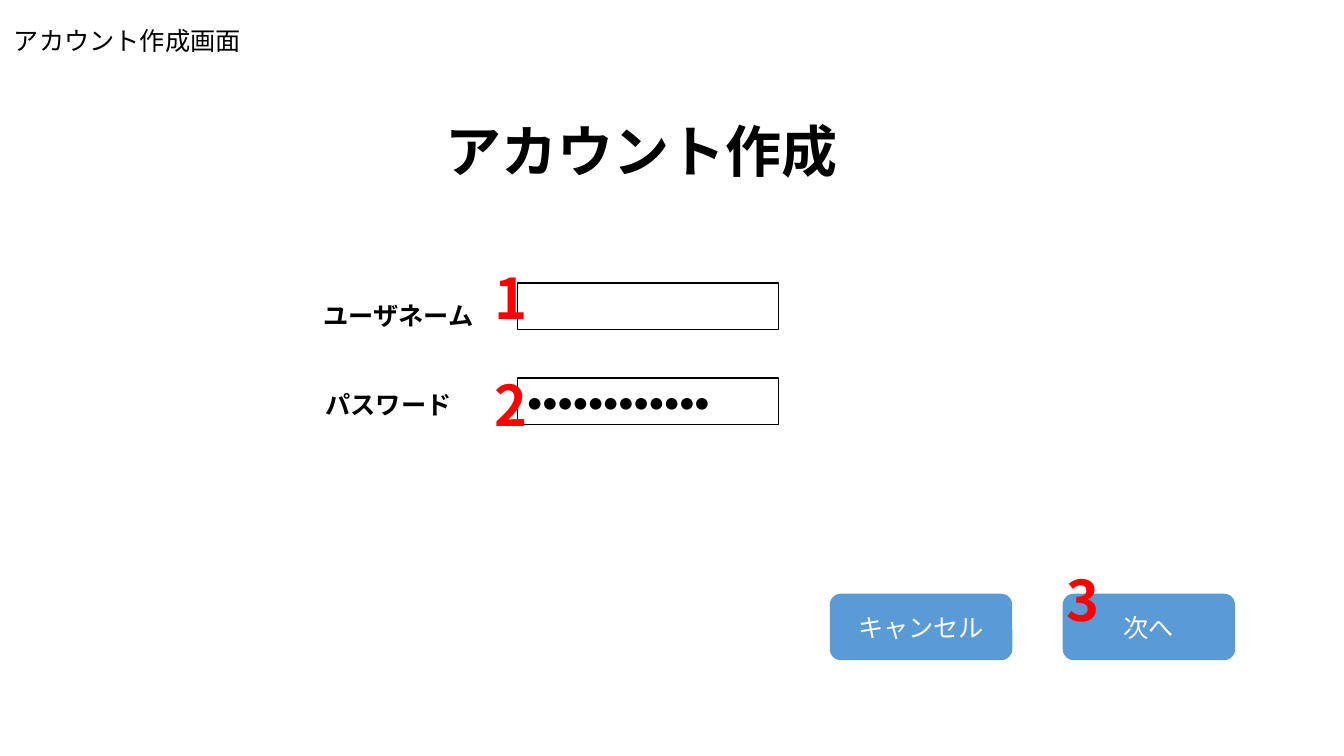
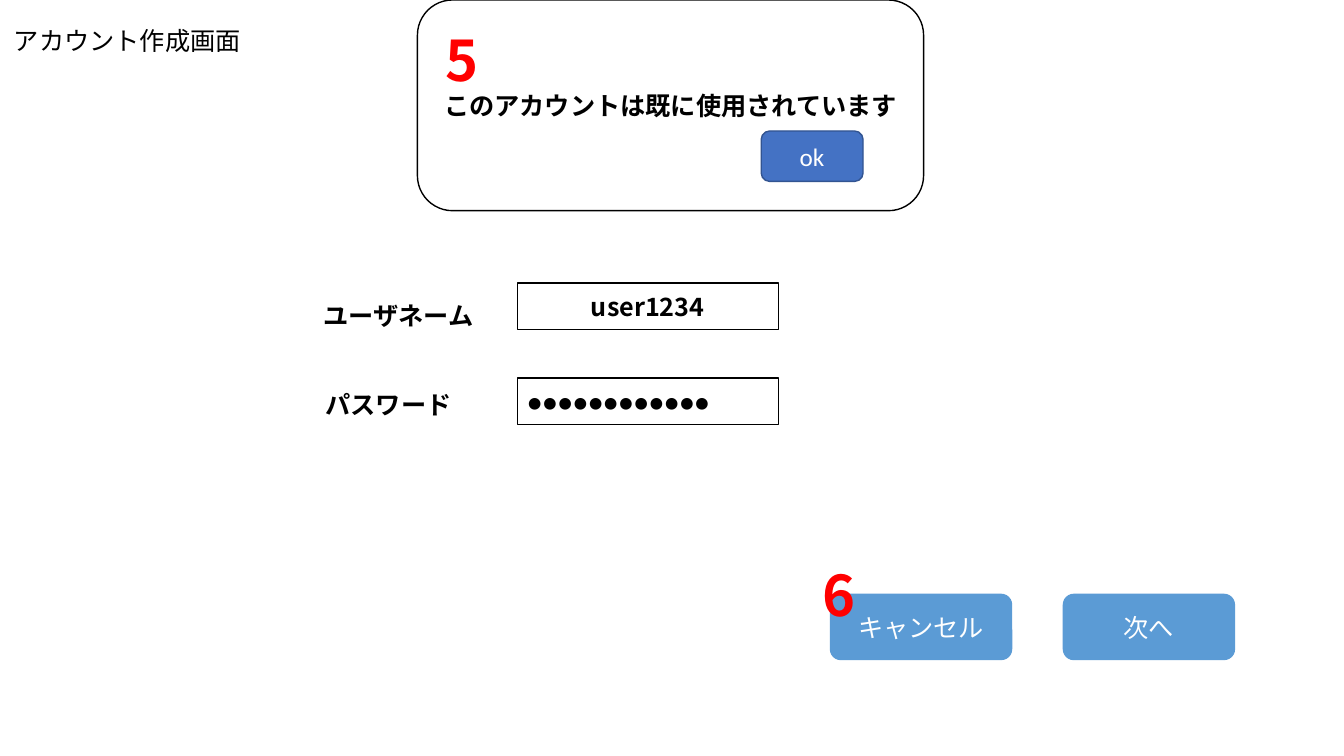
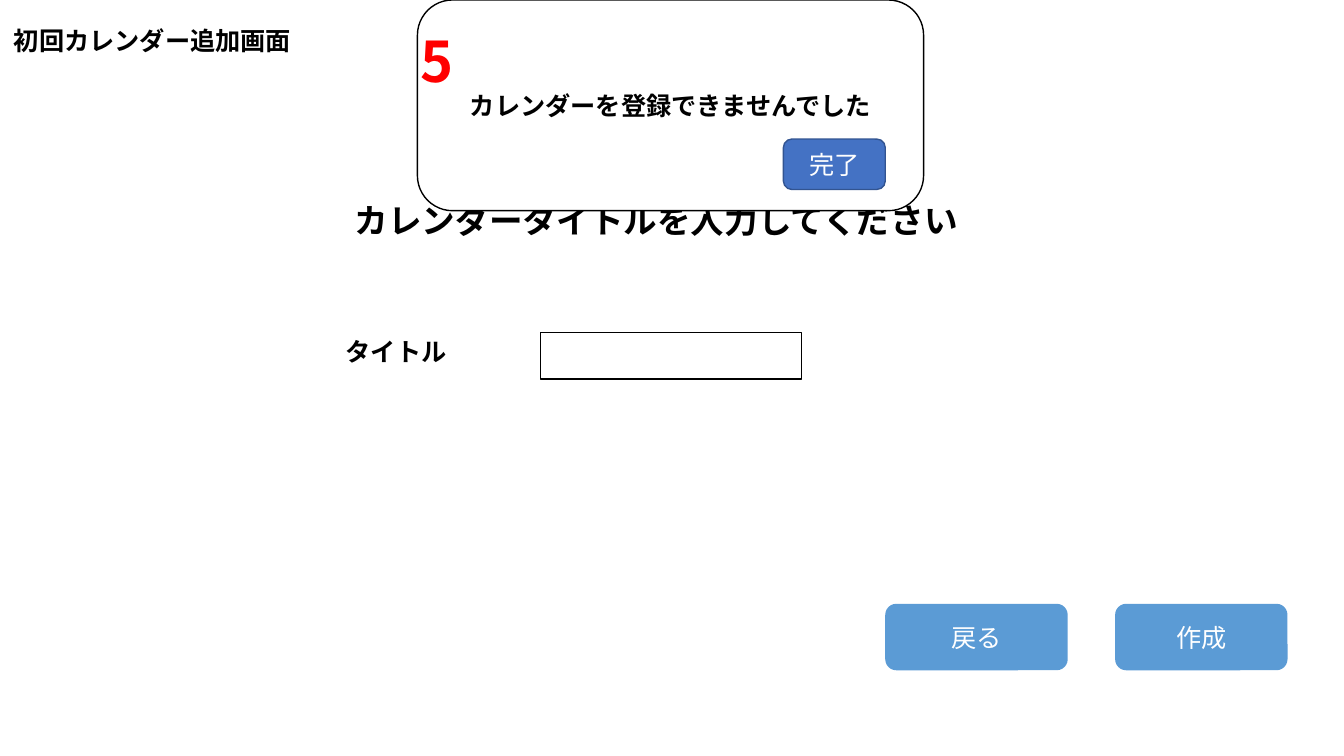
"""Build three wireframe slides for account creation and calendar registration."""
import dataclasses
import typing

import pptx
import pptx.dml.color
import pptx.enum.lang
import pptx.enum.shapes
import pptx.enum.text
import pptx.oxml.ns
import pptx.presentation
import pptx.slide
import pptx.util
from lxml import etree

EMU_PER_PX = 9144
SLIDE_SIZE = (1333, 750)

BLACK = pptx.dml.color.RGBColor(0x00, 0x00, 0x00)
WHITE = pptx.dml.color.RGBColor(0xFF, 0xFF, 0xFF)
RED = pptx.dml.color.RGBColor(0xFF, 0x00, 0x00)
BUTTON_BLUE = pptx.dml.color.RGBColor(0x5B, 0x9B, 0xD5)
CONFIRM_BLUE = pptx.dml.color.RGBColor(0x44, 0x72, 0xC4)
CONFIRM_EDGE = pptx.dml.color.RGBColor(0x32, 0x54, 0x91)

LATIN_FACE = "Calibri"
JAPANESE_FACE = "Noto Sans CJK JP"
LEFT = pptx.enum.text.PP_ALIGN.LEFT
CENTER = pptx.enum.text.PP_ALIGN.CENTER
RECTANGLE = pptx.enum.shapes.MSO_SHAPE.RECTANGLE
ROUNDED = pptx.enum.shapes.MSO_SHAPE.ROUNDED_RECTANGLE


@dataclasses.dataclass(frozen=True)
class TextStyle:
    """Typeface, size and colour of a piece of text."""

    face: str = JAPANESE_FACE
    size: int = 18
    bold: bool = True
    color: pptx.dml.color.RGBColor = BLACK
    east_asian_face: str = JAPANESE_FACE


@dataclasses.dataclass(frozen=True)
class Panel:
    """Outline and colours of a screen control."""

    outline: pptx.enum.shapes.MSO_SHAPE
    fill: pptx.dml.color.RGBColor
    edge: typing.Optional[pptx.dml.color.RGBColor]
    text: TextStyle


class Box(typing.NamedTuple):
    """Position and size in px."""

    left: int
    top: int
    width: int
    height: int


STRONG = TextStyle()
PLAIN = TextStyle(face=LATIN_FACE, bold=False)
MASKED = TextStyle(face=LATIN_FACE, bold=False, east_asian_face=LATIN_FACE)
ON_BUTTON = TextStyle(face=LATIN_FACE, bold=False, color=WHITE)
TITLE = TextStyle(size=40)
PROMPT = TextStyle(size=24)
MARKER = TextStyle(size=40, color=RED)

FIELD = Panel(RECTANGLE, WHITE, BLACK, STRONG)
PASSWORD_FIELD = Panel(RECTANGLE, WHITE, BLACK, MASKED)
BUTTON = Panel(ROUNDED, BUTTON_BLUE, None, ON_BUTTON)
DIALOG = Panel(ROUNDED, WHITE, BLACK, STRONG)
CONFIRM = Panel(ROUNDED, CONFIRM_BLUE, CONFIRM_EDGE, ON_BUTTON)


def px(length: int) -> pptx.util.Emu:
    """Turn px into EMU."""
    return pptx.util.Emu(length * EMU_PER_PX)


def apply_format(target: typing.Any, values: dict[str, typing.Any]) -> None:
    """Set every attribute named in the values."""
    for name, value in values.items():
        setattr(target, name, value)


def write(frame: typing.Any, text: str, style: TextStyle, align: pptx.enum.text.PP_ALIGN) -> None:
    """Put one styled paragraph in a text frame."""
    paragraph = frame.paragraphs[0]
    paragraph.alignment = align
    run = paragraph.add_run()
    run.text = text
    apply_format(run.font, {
        "name": style.face,
        "size": pptx.util.Pt(style.size),
        "bold": style.bold,
        "language_id": pptx.enum.lang.MSO_LANGUAGE_ID.JAPANESE,
    })
    run.font.color.rgb = style.color
    properties = run.font._element
    east_asian = etree.SubElement(properties, pptx.oxml.ns.qn("a:ea"))
    east_asian.set("typeface", style.east_asian_face)


def draw_text(slide: pptx.slide.Slide, box: Box, text: str, style: TextStyle) -> None:
    """Draw free-standing text."""
    frame = slide.shapes.add_textbox(*map(px, box)).text_frame
    apply_format(frame, {
        "word_wrap": True,
        "auto_size": pptx.enum.text.MSO_AUTO_SIZE.SHAPE_TO_FIT_TEXT,
    })
    write(frame, text, style, LEFT)


def draw_panel(slide: pptx.slide.Slide, box: Box, panel: Panel, text: str = "",
               align: pptx.enum.text.PP_ALIGN = CENTER) -> None:
    """Draw a field, button or dialog."""
    control = slide.shapes.add_shape(panel.outline, *map(px, box))
    control.shadow.inherit = False
    control.fill.solid()
    control.fill.fore_color.rgb = panel.fill
    if panel.edge is None:
        control.line.fill.background()
    else:
        control.line.color.rgb = panel.edge
        control.line.width = pptx.util.Pt(1)
    if text:
        apply_format(control.text_frame, {
            "word_wrap": True,
            "vertical_anchor": pptx.enum.text.MSO_ANCHOR.MIDDLE,
        })
        write(control.text_frame, text, panel.text, align)


def draw_markers(slide: pptx.slide.Slide, places: dict[str, tuple[int, int]]) -> None:
    """Draw the red step numbers."""
    for number, (left, top) in places.items():
        draw_text(slide, Box(left, top, 78, 77), number, MARKER)


def draw_dialog(slide: pptx.slide.Slide, message: str, answer: str, left: int, top: int) -> None:
    """Draw the message dialog with its confirming button."""
    draw_panel(slide, Box(414, 0, 502, 209), DIALOG, message)
    draw_panel(slide, Box(left, top, 101, 50), CONFIRM, answer)


def draw_field(slide: pptx.slide.Slide, left: int, top: int, panel: Panel = FIELD,
               text: str = "", align: pptx.enum.text.PP_ALIGN = CENTER) -> None:
    """Draw an input field."""
    draw_panel(slide, Box(left, top, 259, 46), panel, text, align)


def draw_buttons(slide: pptx.slide.Slide, top: int, back: tuple[str, int],
                 forward: tuple[str, int]) -> None:
    """Draw the two navigation buttons."""
    for (caption, left), width in zip((back, forward), (181, 171)):
        draw_panel(slide, Box(left, top, width, 66), BUTTON, caption)


def add_screen(deck: pptx.presentation.Presentation, name: str, style: TextStyle) -> pptx.slide.Slide:
    """Add a blank slide with the screen name at the top left."""
    slide = deck.slides.add_slide(deck.slide_layouts[6])
    draw_text(slide, Box(4, 20, 393, 40), name, style)
    return slide


def add_account_screen(deck: pptx.presentation.Presentation, user: str = "") -> pptx.slide.Slide:
    """Add the account form."""
    slide = add_screen(deck, "アカウント作成画面", PLAIN)
    draw_text(slide, Box(311, 293, 171, 42), "ユーザネーム", STRONG)
    draw_text(slide, Box(313, 381, 199, 40), "パスワード", STRONG)
    draw_field(slide, 513, 281, text=user)
    draw_field(slide, 513, 375, PASSWORD_FIELD, "●" * 12, LEFT)
    draw_buttons(slide, 589, ("キャンセル", 823), ("次へ", 1054))
    return slide


def add_calendar_screen(deck: pptx.presentation.Presentation) -> pptx.slide.Slide:
    """Add the calendar title form."""
    slide = add_screen(deck, "初回カレンダー追加画面", STRONG)
    draw_text(slide, Box(342, 193, 649, 50), "カレンダータイトルを入力してください", PROMPT)
    draw_text(slide, Box(333, 329, 171, 42), "タイトル", STRONG)
    draw_field(slide, 536, 330)
    draw_buttons(slide, 599, ("戻る", 878), ("作成", 1106))
    return slide


def main() -> None:
    """Build and save the deck."""
    deck = pptx.Presentation()
    apply_format(deck, dict(zip(("slide_width", "slide_height"), map(px, SLIDE_SIZE))))

    entry = add_account_screen(deck)
    draw_text(entry, Box(432, 111, 424, 77), "アカウント作成", TITLE)
    draw_markers(entry, {"1": (481, 257), "2": (481, 363), "3": (1048, 556)})

    taken = add_account_screen(deck, "user1234")
    draw_dialog(taken, "このアカウントは既に使用されています", "ok", 755, 130)
    draw_markers(taken, {"5": (432, 20), "6": (806, 551)})

    calendar = add_calendar_screen(deck)
    draw_dialog(calendar, "カレンダーを登録できませんでした", "完了", 777, 138)
    draw_markers(calendar, {"5": (407, 21)})

    deck.save("out.pptx")


if __name__ == "__main__":
    main()
